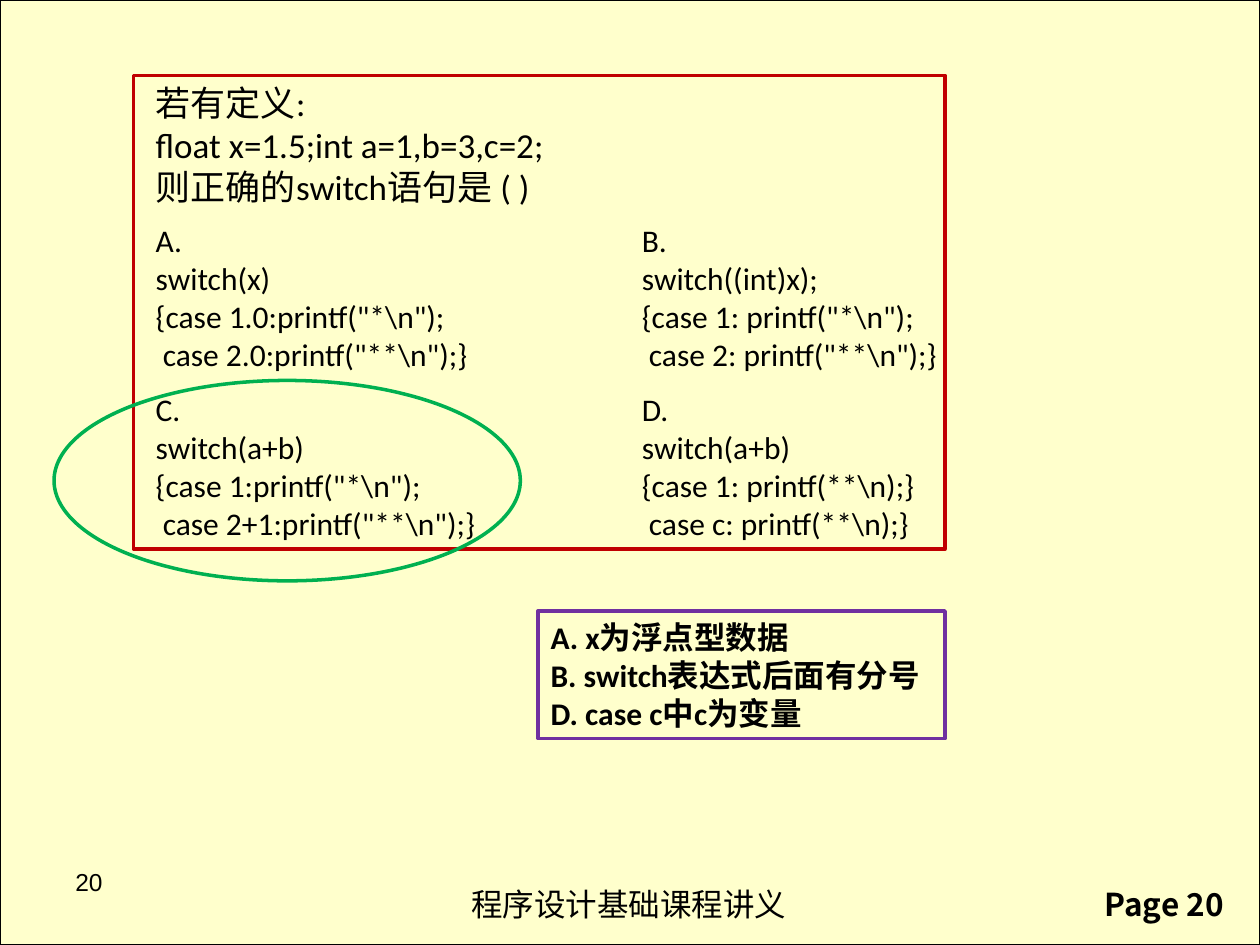
from pptx import Presentation
from pptx.dml.color import RGBColor
from pptx.enum import shapes, text
from pptx.util import Cm, Pt

KIND = shapes.MSO_SHAPE
ASK = ["若有定义:", "float x=1.5;int a=1,b=3,c=2;", "则正确的switch语句是 ( )"]
OPTS = [
    ["A.", "switch(x)", r'{case 1.0:printf("*\n");', r' case 2.0:printf("**\n");}'],
    ["B.", "switch((int)x);", r'{case 1: printf("*\n");', r' case 2: printf("**\n");}'],
    ["C.", "switch(a+b)", r'{case 1:printf("*\n");', r' case 2+1:printf("**\n");}'],
    ["D.", "switch(a+b)", r"{case 1: printf(**\n);}", r" case c: printf(**\n);}"],
]
NOTES = ["A. x为浮点型数据", "B. switch表达式后面有分号", "D. case c中c为变量"]


def tint(code):
    """Turn a hex string into a colour."""
    return RGBColor.from_string(code)


def write(item, lines, size, font="Calibri", bold=False, wrap=True):
    """Fill a shape or text box with left-aligned lines."""
    frame = item.text_frame
    frame.word_wrap = wrap
    for i, line in enumerate(lines):
        para = frame.paragraphs[0] if i == 0 else frame.add_paragraph()
        para.text = line
        para.alignment = text.PP_ALIGN.LEFT
        para.font.size, para.font.name, para.font.bold = Pt(size), font, bold
        para.font.color.rgb = tint("000000")


def label(slide, box, lines, size, **look):
    """Add a text box."""
    item = slide.shapes.add_textbox(*map(Cm, box))
    write(item, lines, size, **look)


def shape(slide, kind, box, line, width, fill=None):
    """Add an outlined shape, filled only if asked."""
    item = slide.shapes.add_shape(kind, *map(Cm, box))
    item.shadow.inherit = False
    if fill:
        item.fill.solid()
        item.fill.fore_color.rgb = tint(fill)
    else:
        item.fill.background()
    item.line.color.rgb = tint(line)
    item.line.width = Pt(width)
    return item


def base(slide, box):
    """Place the backdrop, footer and page numbers."""
    x, y, w, h = box
    shape(slide, KIND.RECTANGLE, box, "000000", 0.75, "FFFFCC")
    low = y + h - 1.33
    label(slide, (x + 9.25, low, 6.93, 1.02), ["程序设计基础课程讲义"], 18,
          font="Arial", wrap=False)
    label(slide, (x + w - 3.38, low, 3.25, 1.02), ["Page 20"], 18,
          font="Noto Sans CJK SC", bold=True)
    label(slide, (x + 1.27, y + h - 1.7, 5.92, 1.32), ["20"], 14, font="Arial")


def quiz(slide, box):
    """Place the question, its grid of options and the frame."""
    x, y, w, h = box
    left, top = x + 0.2, y + 2.82
    label(slide, (left, y, 18.39, 2.82), ASK, 20)
    for i, lines in enumerate(OPTS):
        row, col = divmod(i, 2)
        label(slide, (left + col * 9.8, top + row * 3.4, 12.7, 3.33), lines, 18)
    shape(slide, KIND.RECTANGLE, box, "C00000", 2)
    shape(slide, KIND.OVAL, (x - 1.6, y + 6.15, 9.4, 4.04), "00B050", 2)


def notes(slide, box):
    """Place the framed reasons against the wrong options."""
    item = shape(slide, KIND.RECTANGLE, box, "7030A0", 2.25)
    write(item, NOTES, 18, bold=True, wrap=False)


def main():
    """Build and save the slide."""
    deck = Presentation()
    deck.slide_width, deck.slide_height = Cm(25.4), Cm(19.05)
    slide = deck.slides.add_slide(deck.slide_layouts[6])
    base(slide, (0, 0, 25.4, 19.05))
    quiz(slide, (2.69, 1.52, 16.36, 9.55))
    notes(slide, (10.85, 12.32, 8.2, 2.57))
    deck.save("out.pptx")


if __name__ == "__main__":
    main()
